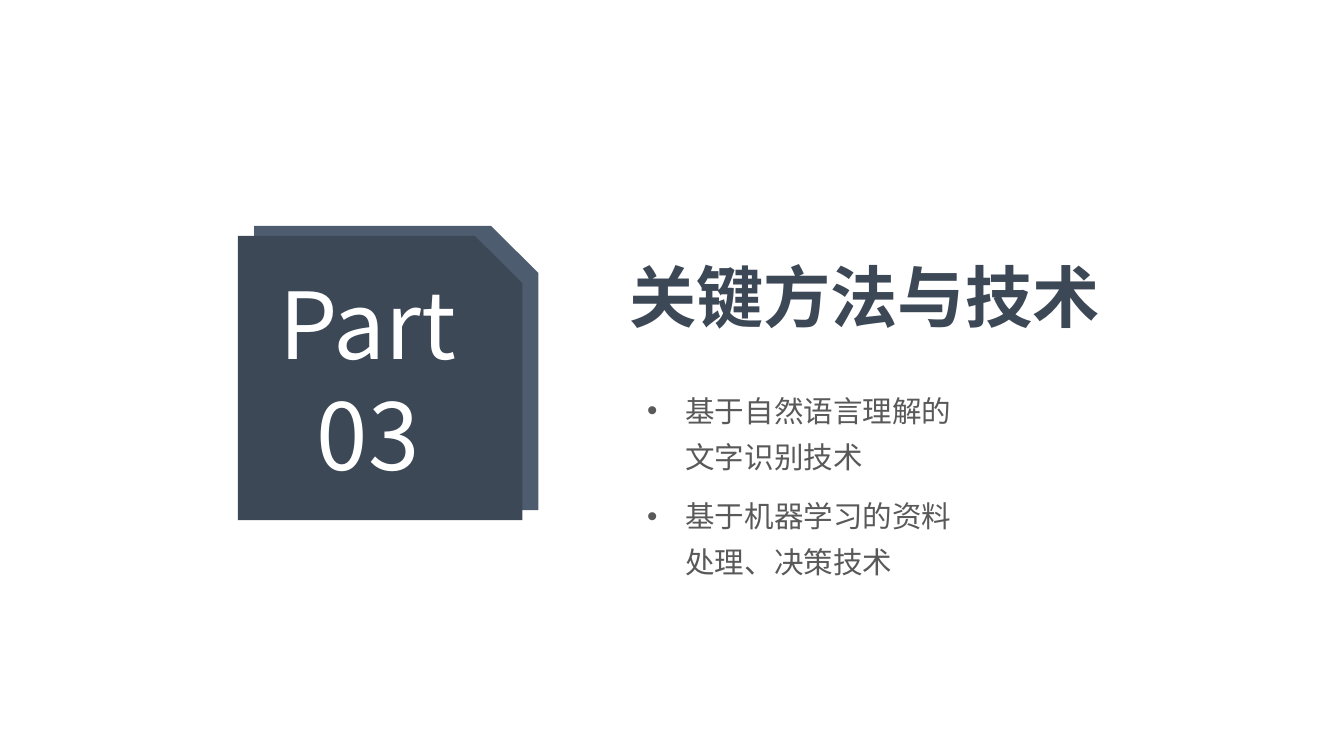
from dataclasses import dataclass

from lxml import etree
from pptx import Presentation
from pptx.dml.color import RGBColor
from pptx.enum.shapes import MSO_SHAPE
from pptx.enum.text import MSO_ANCHOR, MSO_AUTO_SIZE, PP_ALIGN
from pptx.oxml.ns import qn
from pptx.util import Pt

SNIPPED = MSO_SHAPE.SNIP_1_RECTANGLE
MIDDLE, TOP = MSO_ANCHOR.MIDDLE, MSO_ANCHOR.TOP
CENTER, LEFT = PP_ALIGN.CENTER, PP_ALIGN.LEFT
NO_FIT = MSO_AUTO_SIZE.NONE
EMU_PER_PX = 9144


@dataclass(frozen=True)
class Theme:
    dark: RGBColor = RGBColor.from_string("3C4856")
    shade: RGBColor = RGBColor.from_string("4D5C6F")
    body: RGBColor = RGBColor.from_string("595959")
    white: RGBColor = RGBColor.from_string("FFFFFF")
    heading_font: str = "Noto Sans CJK SC"
    body_font: str = "Arial"
    badge_size: float = 66
    title_size: float = 48
    body_size: float = 21.1


THEME = Theme()


def px(length):
    return length * EMU_PER_PX


def style(para, name, size, color, align, bold=False):
    font = para.font
    font.name, font.size, font.bold = name, Pt(size), bold
    font.color.rgb = color
    para.alignment = align
    latin = para._p.pPr.find(qn("a:defRPr")).find(qn("a:latin"))
    east_asian = etree.Element(qn("a:ea"), typeface=THEME.heading_font)
    latin.addnext(east_asian)


def add_card(page, left, top, side, color):
    card = page.shapes.add_shape(SNIPPED, px(left), px(top), px(side), px(side))
    card.shadow.inherit = False
    card.fill.solid()
    card.fill.fore_color.rgb = color
    card.line.fill.background()
    return card


def add_badge(page, left, top, side, lines):
    add_card(page, left + 16, top - 10, side, THEME.shade)
    frame = add_card(page, left, top, side, THEME.dark).text_frame
    frame.vertical_anchor = MIDDLE
    frame.margin_left = frame.margin_right = px(10)
    frame.margin_top, frame.margin_bottom = 0, px(24)
    frame.text = "\n".join(lines)
    for para in frame.paragraphs:
        style(para, THEME.heading_font, THEME.badge_size, THEME.white, CENTER)


def place_title(page, left, top, width, height, text):
    title = page.shapes.title
    title.left, title.top = px(left), px(top)
    title.width, title.height = px(width), px(height)
    frame = title.text_frame
    frame.text = text
    frame.auto_size = NO_FIT
    frame.vertical_anchor = MIDDLE
    style(frame.paragraphs[0], THEME.heading_font, THEME.title_size,
          THEME.dark, LEFT, bold=True)


def add_points(page, left, top, width, height, pitch, points):
    for index, point in enumerate(points):
        box = page.shapes.add_textbox(px(left), px(top + index * pitch),
                                      px(width), px(height))
        frame = box.text_frame
        frame.word_wrap = True
        frame.vertical_anchor = TOP
        frame.text = point
        para = frame.paragraphs[0]
        para.line_spacing = 1.3
        style(para, THEME.body_font, THEME.body_size, THEME.body, LEFT)
        props = para._p.pPr
        props.set("marL", str(px(38)))
        props.set("indent", str(px(-38)))
        defaults = props.find(qn("a:defRPr"))
        defaults.addprevious(etree.Element(qn("a:buFont"), typeface="Arial"))
        defaults.addprevious(etree.Element(qn("a:buChar"), char="•"))


def main():
    deck = Presentation()
    deck.slide_width, deck.slide_height = px(1333), px(750)
    page = deck.slides.add_slide(deck.slide_layouts[5])
    add_badge(page, 236, 234, 282, ["Part", "03"])
    place_title(page, 614, 248, 573, 91, "关键方法与技术")
    add_points(page, 632, 374, 333, 102, 105,
               ["基于自然语言理解的文字识别技术", "基于机器学习的资料处理、决策技术"])
    deck.save("out.pptx")


if __name__ == "__main__":
    main()
